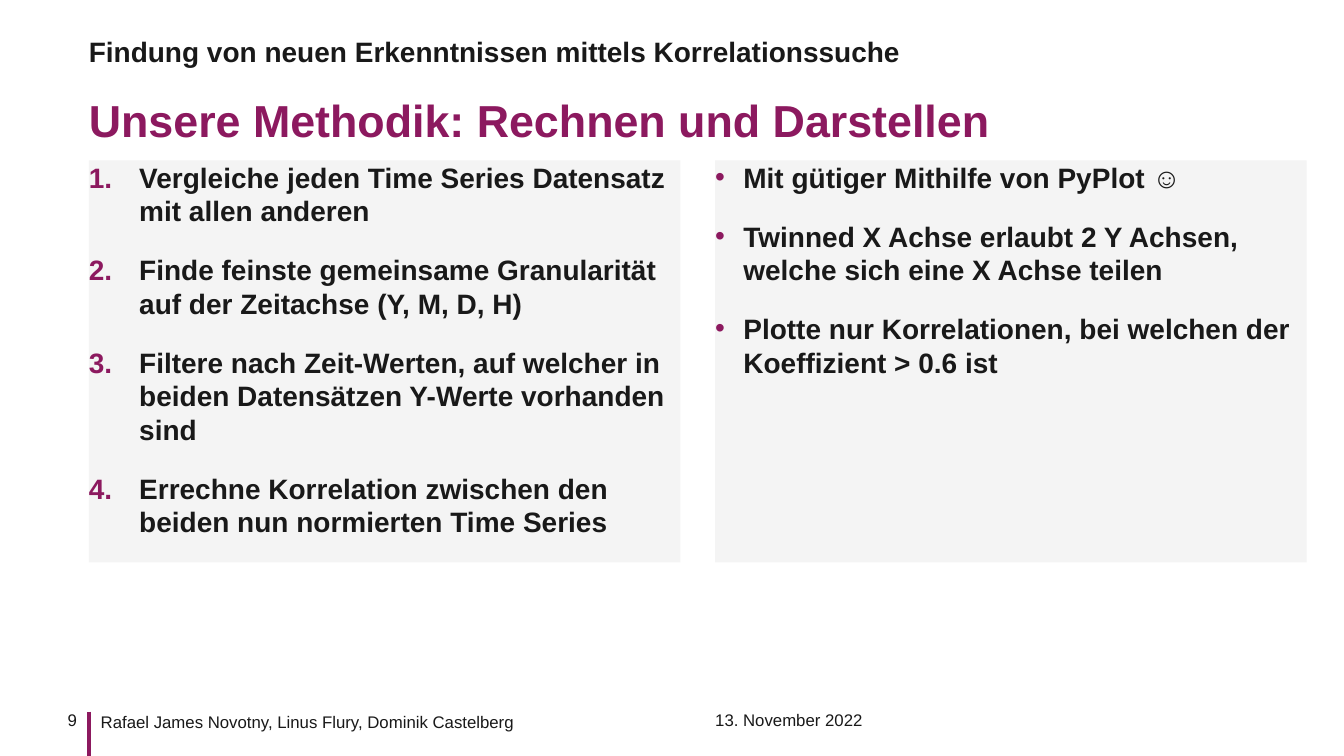
from lxml import etree
from pptx import Presentation
from pptx.dml.color import RGBColor
from pptx.enum.shapes import MSO_CONNECTOR, MSO_SHAPE
from pptx.enum.text import MSO_ANCHOR, PP_ALIGN
from pptx.oxml.ns import qn
from pptx.util import Cm, Pt

STRAIGHT = MSO_CONNECTOR.STRAIGHT
RECTANGLE = MSO_SHAPE.RECTANGLE
TOP, MIDDLE = MSO_ANCHOR.TOP, MSO_ANCHOR.MIDDLE
LEFT, RIGHT = PP_ALIGN.LEFT, PP_ALIGN.RIGHT

FONT = "Arial"
PURPLE, INK, PANEL = "8C195F", "191919", "F4F4F4"
SLIDE_WIDTH, SLIDE_HEIGHT = 33.88, 19.05
MARGIN, RIGHT_COLUMN = 2.24, 18.03
COLUMN_WIDTH, CONTENT_WIDTH = 14.91, 30.7
FOOTER_TOP, FOOTER_HEIGHT, FOOTER_INSET = 17.93, 0.51, 0.3

STEPS = [
    "Vergleiche jeden Time Series Datensatz mit allen anderen",
    "Finde feinste gemeinsame Granularität auf der Zeitachse (Y, M, D, H)",
    "Filtere nach Zeit-Werten, auf welcher in beiden Datensätzen Y-Werte vorhanden sind",
    "Errechne Korrelation zwischen den beiden nun normierten Time Series",
]
PLOT_NOTES = [
    "Mit gütiger Mithilfe von PyPlot ☺",
    "Twinned X Achse erlaubt 2 Y Achsen, welche sich eine X Achse teilen",
    "Plotte nur Korrelationen, bei welchen der Koeffizient > 0.6 ist",
]


def color(value):
    return RGBColor.from_string(value)


def prepare_frame(shape, anchor, left_inset=0, right_inset=0):
    frame = shape.text_frame
    frame.word_wrap = True
    frame.vertical_anchor = anchor
    frame.margin_left, frame.margin_right = Cm(left_inset), Cm(right_inset)
    frame.margin_top = frame.margin_bottom = Cm(0)
    return frame


def format_paragraph(paragraph, size, ink, bold, spacing, align=LEFT):
    paragraph.alignment = align
    paragraph.line_spacing = spacing
    for run in paragraph.runs:
        run.font.name = FONT
        run.font.size = Pt(size)
        run.font.bold = bold
        run.font.color.rgb = color(ink)


def add_text(slide, text, box, size, ink=INK, bold=False, spacing=1.0,
             align=LEFT, anchor=TOP, left_inset=0, right_inset=0):
    shape = slide.shapes.add_textbox(*map(Cm, box))
    frame = prepare_frame(shape, anchor, left_inset, right_inset)
    frame.text = text
    format_paragraph(frame.paragraphs[0], size, ink, bold, spacing, align)


def add_marker(paragraph, tag, attributes, indent):
    properties = paragraph._p.get_or_add_pPr()
    properties.set("marL", str(Cm(indent)))
    properties.set("indent", str(-Cm(indent)))
    marker_color = etree.SubElement(properties, qn("a:buClr"))
    etree.SubElement(marker_color, qn("a:srgbClr"), val=PURPLE)
    etree.SubElement(properties, qn("a:buFont"), typeface=FONT)
    etree.SubElement(properties, qn(tag), **attributes)


def add_list_panel(slide, left, items, tag, attributes, indent):
    panel = slide.shapes.add_shape(RECTANGLE, Cm(left), Cm(4.04), Cm(COLUMN_WIDTH), Cm(10.13))
    panel.shadow.inherit = False
    panel.fill.solid()
    panel.fill.fore_color.rgb = color(PANEL)
    panel.line.fill.background()
    frame = prepare_frame(panel, TOP)
    frame.text = "\n".join(items)
    for paragraph in frame.paragraphs:
        format_paragraph(paragraph, 20, INK, True, Pt(24))
        paragraph.space_before = Pt(18)
        add_marker(paragraph, tag, attributes, indent)


def add_footer_line(slide):
    line = slide.shapes.add_connector(
        STRAIGHT, Cm(MARGIN), Cm(FOOTER_TOP), Cm(MARGIN), Cm(SLIDE_HEIGHT))
    line.line.color.rgb = color(PURPLE)
    line.line.width = Pt(3)
    etree.SubElement(line._element.spPr, qn("a:effectLst"))


def add_footer(slide):
    add_footer_line(slide)
    add_text(slide, "13. November 2022", (RIGHT_COLUMN, FOOTER_TOP, 9.37, FOOTER_HEIGHT),
             12, spacing=0.9)
    add_text(slide, "Rafael James Novotny, Linus Flury, Dominik Castelberg",
             (MARGIN, FOOTER_TOP, COLUMN_WIDTH, 0.91), 12, left_inset=FOOTER_INSET)
    add_text(slide, "9", (0.74, FOOTER_TOP, 1.5, FOOTER_HEIGHT), 12, spacing=0.9,
             align=RIGHT, right_inset=FOOTER_INSET)


def main():
    presentation = Presentation()
    presentation.slide_width = Cm(SLIDE_WIDTH)
    presentation.slide_height = Cm(SLIDE_HEIGHT)
    slide = presentation.slides.add_slide(presentation.slide_layouts[6])
    add_footer(slide)
    add_text(slide, "Unsere Methodik: Rechnen und Darstellen",
             (MARGIN, 1.93, CONTENT_WIDTH, 1.9), 32, PURPLE, True, 1.2, anchor=MIDDLE)
    add_text(slide, "Findung von neuen Erkenntnissen mittels Korrelationssuche",
             (MARGIN, 0.94, CONTENT_WIDTH, 0.79), 20, INK, True, 0.9, anchor=MIDDLE)
    add_list_panel(slide, MARGIN, STEPS, "a:buAutoNum", {"type": "arabicPeriod"}, 1.27)
    add_list_panel(slide, RIGHT_COLUMN, PLOT_NOTES, "a:buChar", {"char": "•"}, 0.71)
    presentation.save("out.pptx")


if __name__ == "__main__":
    main()
